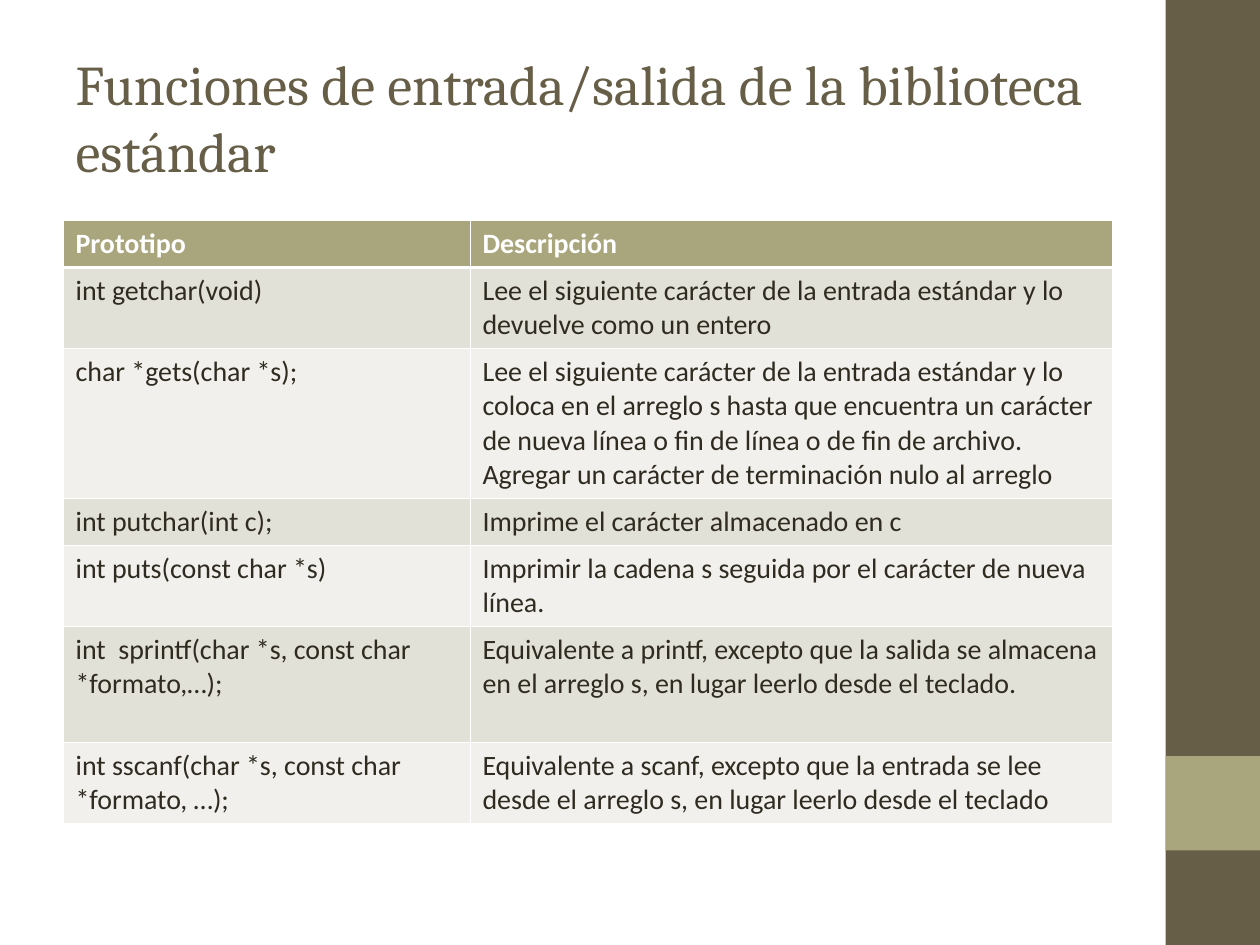
from dataclasses import dataclass

from lxml import etree
from pptx import Presentation
from pptx.dml.color import RGBColor
from pptx.enum.shapes import MSO_SHAPE
from pptx.enum.text import MSO_ANCHOR, MSO_AUTO_SIZE, PP_ALIGN
from pptx.oxml.ns import qn
from pptx.util import Inches, Pt

RECT = MSO_SHAPE.RECTANGLE
MIDDLE, TOP = MSO_ANCHOR.MIDDLE, MSO_ANCHOR.TOP
LEFT = PP_ALIGN.LEFT
NO_FIT = MSO_AUTO_SIZE.NONE

GRID_COLS, GRID_ROWS, UNIT = 40, 30, 0.25
TITLE_ONLY = 5
BROWN, OLIVE, INK, WHITE = "675E47", "A9A57C", "2F2B20", "FFFFFF"
BANDS = ("E2E1D7", "F1F0EC")
THIN, THICK = 0.45, 1.47
LINE_HEIGHT, ROW_PADDING = 1.09, 0.4
COLUMN_WIDTHS = (12.92, 20.4)


@dataclass(frozen=True)
class Box:
    col: float
    row: float
    cols: float
    rows: float

    def lengths(self) -> list[int]:
        return [Inches(n * UNIT) for n in (self.col, self.row, self.cols, self.rows)]


@dataclass(frozen=True)
class Block:
    box: Box
    color: str


@dataclass(frozen=True)
class Entry:
    prototype: str
    description: str
    lines: int


SIDEBAR = (
    Block(Box(37, 0, 3, GRID_ROWS), BROWN),
    Block(Box(37, 24, 3, 3), OLIVE),
)
TITLE_BOX = Box(2, 1.2, 33.32, 5)
ENTRIES = (
    Entry("Prototipo", "Descripción", 1),
    Entry("int getchar(void)",
          "Lee el siguiente carácter de la entrada estándar y lo devuelve como un entero", 2),
    Entry("char *gets(char *s);",
          "Lee el siguiente carácter de la entrada estándar y lo coloca en el arreglo s "
          "hasta que encuentra un carácter de nueva línea o fin de línea o de fin de archivo. "
          "Agregar un carácter de terminación nulo al arreglo", 4),
    Entry("int putchar(int c);", "Imprime el carácter almacenado en c", 1),
    Entry("int puts(const char *s)",
          "Imprimir la cadena s seguida por el carácter de nueva línea.", 2),
    Entry("int  sprintf(char *s, const char *formato,…);",
          "Equivalente a printf, excepto que la salida se almacena en el arreglo s, "
          "en lugar leerlo desde el teclado.", 3),
    Entry("int sscanf(char *s, const char *formato, …);",
          "Equivalente a scanf, excepto que la entrada se lee desde el arreglo s, "
          "en lugar leerlo desde el teclado", 2),
)


def rgb(color: str) -> RGBColor:
    return RGBColor.from_string(color)


def write(tf, text: str, *, size: float, font: str, color: str, bold: bool = False) -> None:
    p = tf.paragraphs[0]
    p.alignment = LEFT
    r = p.add_run()
    r.text = text
    r.font.size, r.font.name, r.font.bold = Pt(size), font, bold
    r.font.color.rgb = rgb(color)


def draw_block(s, block: Block) -> None:
    sp = s.shapes.add_shape(RECT, *block.box.lengths())
    sp.shadow.inherit = False
    sp.fill.solid()
    sp.fill.fore_color.rgb = rgb(block.color)
    sp.line.fill.background()


def draw_title(s, text: str) -> None:
    sp = s.shapes.title
    sp.left, sp.top, sp.width, sp.height = TITLE_BOX.lengths()
    tf = sp.text_frame
    tf.word_wrap, tf.auto_size, tf.vertical_anchor = True, NO_FIT, MIDDLE
    write(tf, text, size=32, font="Cambria", color=BROWN)


def add_border(cell, side: str, width: float) -> None:
    ln = etree.SubElement(cell._tc.get_or_add_tcPr(), qn(f"a:ln{side}"), w=str(Pt(width)))
    fill = etree.SubElement(ln, qn("a:solidFill"))
    etree.SubElement(fill, qn("a:srgbClr"), val=WHITE)


def format_cell(cell, text: str, row: int) -> None:
    header = row == 0
    widths = {"L": THIN, "R": THIN,
              "T": THICK if row == 1 else THIN,
              "B": THICK if header else THIN}
    for side, width in widths.items():
        add_border(cell, side, width)
    cell.fill.solid()
    cell.fill.fore_color.rgb = rgb(OLIVE if header else BANDS[(row - 1) % 2])
    cell.vertical_anchor = TOP
    write(cell.text_frame, text, size=16, font="Calibri",
          color=WHITE if header else INK, bold=header)


def draw_table(s, entries: tuple[Entry, ...]) -> None:
    heights = [ROW_PADDING + LINE_HEIGHT * e.lines for e in entries]
    box = Box(2, 7, sum(COLUMN_WIDTHS), sum(heights))
    table = s.shapes.add_table(len(entries), len(COLUMN_WIDTHS), *box.lengths()).table
    for column, width in zip(table.columns, COLUMN_WIDTHS):
        column.width = Inches(width * UNIT)
    for i, (entry, height) in enumerate(zip(entries, heights)):
        table.rows[i].height = Inches(height * UNIT)
        for j, text in enumerate((entry.prototype, entry.description)):
            format_cell(table.cell(i, j), text, i)


def main() -> None:
    prs = Presentation()
    prs.slide_width = Inches(GRID_COLS * UNIT)
    prs.slide_height = Inches(GRID_ROWS * UNIT)
    s = prs.slides.add_slide(prs.slide_layouts[TITLE_ONLY])
    s.background.fill.solid()
    s.background.fill.fore_color.rgb = rgb(WHITE)
    for block in SIDEBAR:
        draw_block(s, block)
    draw_title(s, "Funciones de entrada/salida de la biblioteca estándar")
    draw_table(s, ENTRIES)
    prs.save("out.pptx")


if __name__ == "__main__":
    main()
